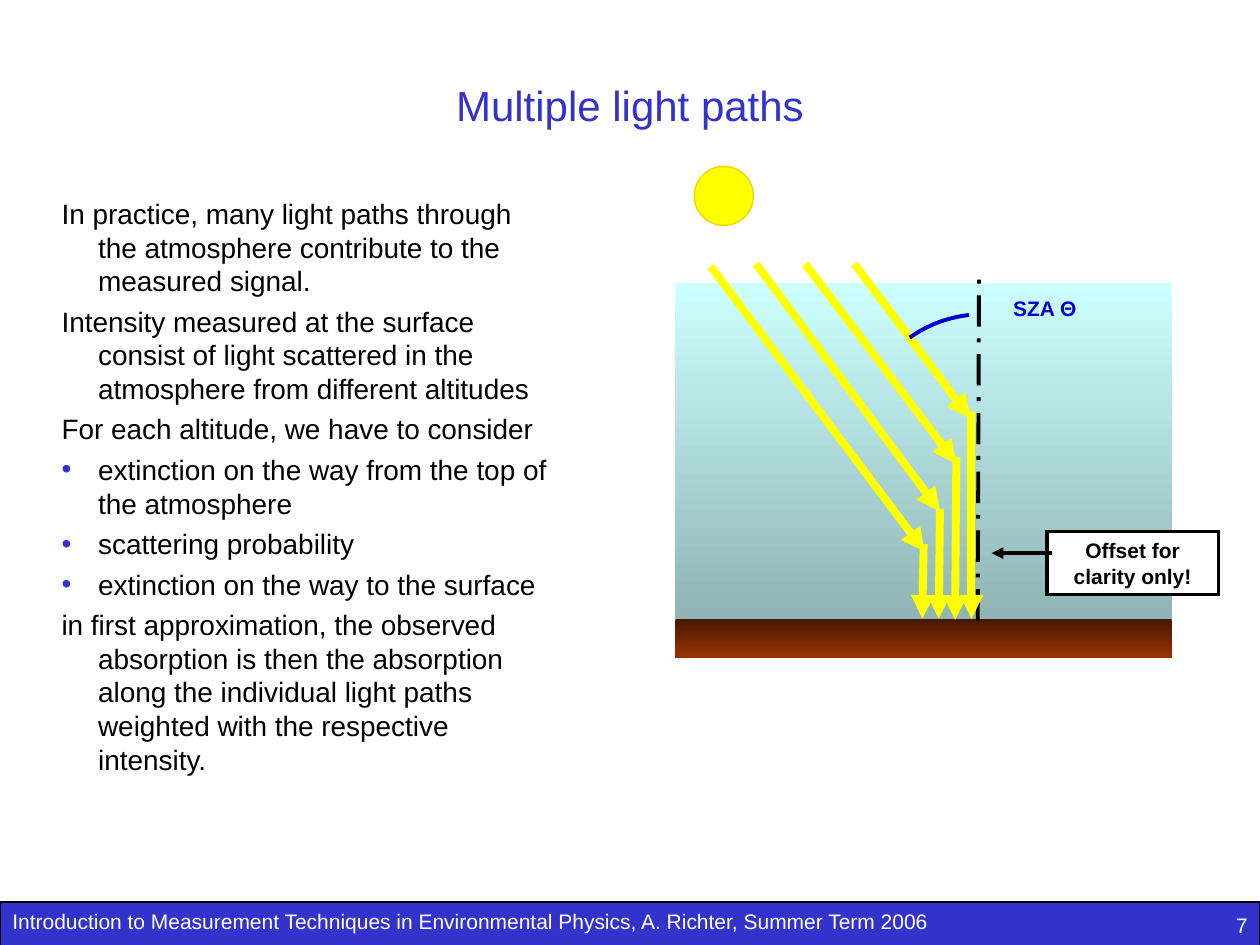
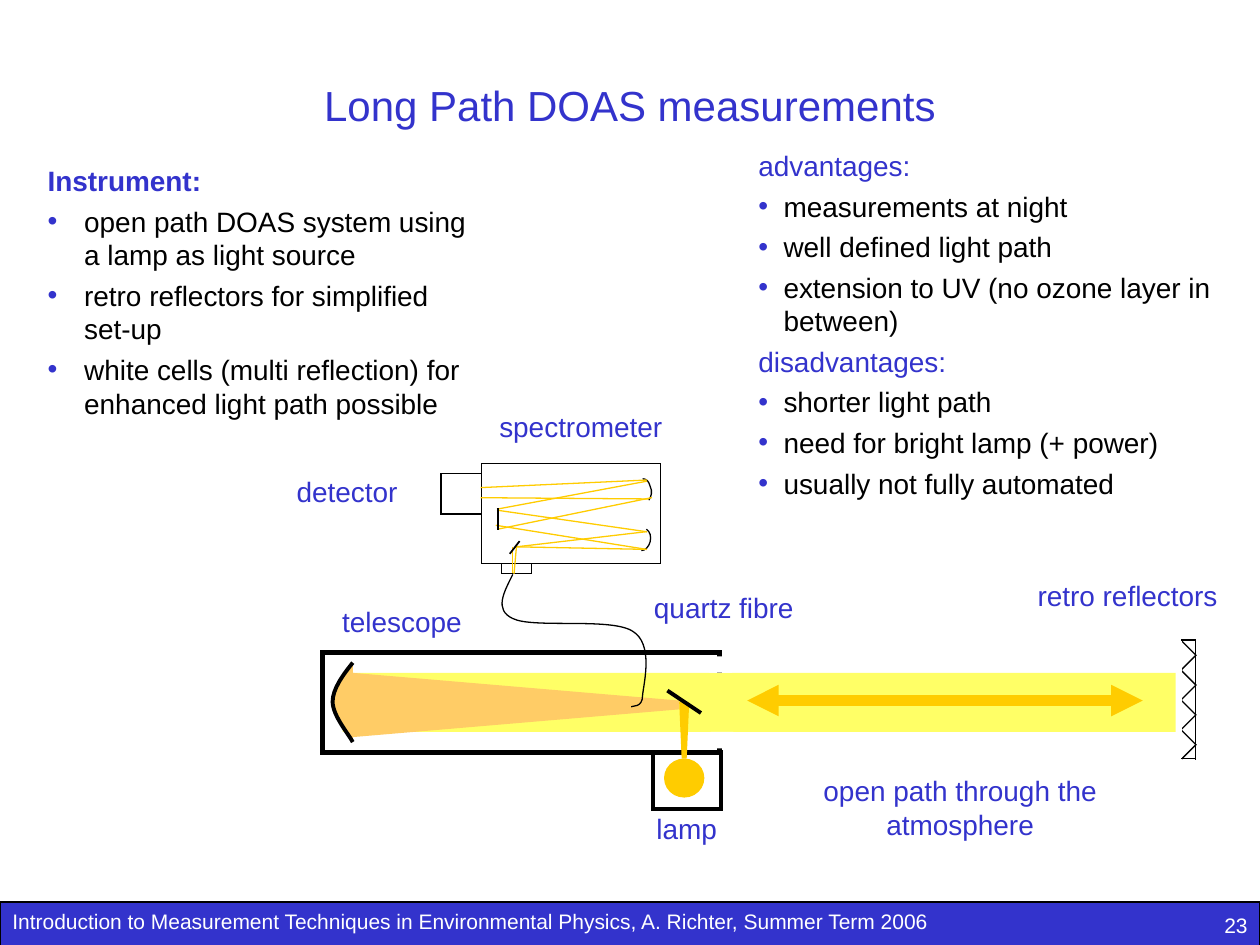
"""Build two lecture slides on light paths and long path DOAS instruments."""

from dataclasses import dataclass, field
from typing import Optional

import pptx
import pptx.dml.color
import pptx.enum.dml
import pptx.enum.shapes
import pptx.enum.text
import pptx.oxml.ns
import pptx.util
from lxml import etree

Inches = pptx.util.Inches
RGBColor = pptx.dml.color.RGBColor
Kind = pptx.enum.shapes.MSO_SHAPE
Align = pptx.enum.text.PP_ALIGN
qn = pptx.oxml.ns.qn

FONT = "Arial"
BLACK = RGBColor(0x00, 0x00, 0x00)
WHITE = RGBColor(0xFF, 0xFF, 0xFF)
INDIGO = RGBColor(0x33, 0x33, 0xCC)
ANGLE_BLUE = RGBColor(0x00, 0x00, 0xCC)
YELLOW = RGBColor(0xFF, 0xFF, 0x00)
GOLD = RGBColor(0xFF, 0xCC, 0x00)
BEAM_YELLOW = RGBColor(0xFF, 0xFF, 0x66)
CONE_ORANGE = RGBColor(0xFF, 0xCC, 0x66)
SKY = (RGBColor(0xCC, 0xFF, 0xFF), RGBColor(0x90, 0xB4, 0xB4))
SOIL = (RGBColor(0x46, 0x17, 0x00), RGBColor(0x99, 0x33, 0x00))
COURSE = "Introduction to Measurement Techniques in Environmental Physics, A. Richter, Summer Term 2006"

Point = tuple[float, float]


@dataclass
class Item:
    """One paragraph of text."""
    text: str
    bullet: bool = False
    color: RGBColor = BLACK
    bold: bool = False


@dataclass
class Block:
    """A preset shape; two fill colours make a vertical gradient."""
    left: float
    top: float
    width: float
    height: float
    fill: Optional[RGBColor | tuple[RGBColor, RGBColor]] = None
    line: Optional[RGBColor] = None
    weight: float = 0.75
    kind: Kind = Kind.RECTANGLE
    rotation: float = 0
    items: list[Item] = field(default_factory=list)
    align: Align = Align.CENTER


@dataclass
class Stroke:
    """A straight line with optional arrowheads or dashes."""
    start: Point
    end: Point
    color: RGBColor = BLACK
    weight: float = 0.75
    arrows: tuple[str, ...] = ()
    dashed: bool = False


@dataclass
class Outline:
    """A closed polygon, or an open chain of cubic curves."""
    points: list[Point]
    fill: Optional[RGBColor] = None
    line: Optional[RGBColor] = None
    weight: float = 0.75
    curved: bool = True


@dataclass
class Caption:
    """A text box holding a list of paragraphs."""
    left: float
    top: float
    width: float
    height: float
    items: list[Item]
    size: float = 16
    align: Align = Align.CENTER
    hang: float = 0


def paint(shape, fill, line: Optional[RGBColor], weight: float) -> None:
    """Set the fill and line of a shape and drop its shadow."""
    shape.shadow.inherit = False
    if fill is None:
        shape.fill.background()
    elif isinstance(fill, RGBColor):
        shape.fill.solid()
        shape.fill.fore_color.rgb = fill
    else:
        shape.fill.gradient()
        shape.fill.gradient_angle = 270
        for stop, position, color in zip(shape.fill.gradient_stops, (0, 1), fill):
            stop.position = position
            stop.color.rgb = color
    if line is None:
        shape.line.fill.background()
    else:
        shape.line.color.rgb = line
        shape.line.width = pptx.util.Pt(weight)
        etree.SubElement(shape.element.spPr.find(qn("a:ln")), qn("a:miter"), lim="800000")


def write(text_frame, items: list[Item], size: float, align: Align, hang: float = 0) -> None:
    """Fill a text frame with plain or bulleted paragraphs."""
    text_frame.word_wrap = True
    text_frame.vertical_anchor = pptx.enum.text.MSO_ANCHOR.TOP
    text_frame.text = "\n".join(item.text for item in items)
    for index, (para, item) in enumerate(zip(text_frame.paragraphs, items)):
        properties = para._p.get_or_add_pPr()
        if hang:
            properties.set("marL", str(Inches(hang)))
            properties.set("indent", str(-Inches(hang)))
        if item.bullet:
            color = etree.SubElement(properties, qn("a:buClr"))
            etree.SubElement(color, qn("a:srgbClr"), val=str(INDIGO))
            etree.SubElement(properties, qn("a:buFont"), typeface=FONT)
            etree.SubElement(properties, qn("a:buChar"), char="•")
        para.alignment = align
        if index:
            para.space_before = pptx.util.Pt(4)
        for span in para.runs:
            span.font.name = FONT
            span.font.size = pptx.util.Pt(size)
            span.font.bold = item.bold
            span.font.color.rgb = item.color


def draw_block(page, block: Block) -> None:
    """Draw a preset shape."""
    frame = map(Inches, (block.left, block.top, block.width, block.height))
    shape = page.shapes.add_shape(block.kind, *frame)
    shape.rotation = block.rotation
    paint(shape, block.fill, block.line, block.weight)
    if block.items:
        write(shape.text_frame, block.items, 12, block.align)


def draw_stroke(page, stroke: Stroke) -> None:
    """Draw a straight connector with square ends."""
    ends = map(Inches, (*stroke.start, *stroke.end))
    connector = page.shapes.add_connector(pptx.enum.shapes.MSO_CONNECTOR.STRAIGHT, *ends)
    connector.line.color.rgb = stroke.color
    connector.line.width = pptx.util.Pt(stroke.weight)
    if stroke.dashed:
        connector.line.dash_style = pptx.enum.dml.MSO_LINE.LONG_DASH_DOT
    properties = connector.element.spPr
    line = properties.find(qn("a:ln"))
    line.set("cap", "sq")
    for arrow in stroke.arrows:
        etree.SubElement(line, qn(f"a:{arrow}"), type="triangle")
    etree.SubElement(properties, qn("a:effectLst"))


def draw_outline(page, outline: Outline) -> None:
    """Draw a freeform, grouping its points by three when it is curved."""
    points = [(Inches(x), Inches(y)) for x, y in outline.points]
    builder = page.shapes.build_freeform(*points[0], scale=1.0)
    builder.add_line_segments(points[1:], close=not outline.curved)
    shape = builder.convert_to_shape()
    paint(shape, outline.fill, outline.line, outline.weight)
    if outline.curved:
        segments = list(shape.element.iter(qn("a:lnTo")))
        for first in range(0, len(segments), 3):
            curve = etree.SubElement(segments[first].getparent(), qn("a:cubicBezTo"))
            for segment in segments[first:first + 3]:
                curve.append(segment[0])
                segment.getparent().remove(segment)


def draw_caption(page, caption: Caption) -> None:
    """Draw a text box."""
    frame = map(Inches, (caption.left, caption.top, caption.width, caption.height))
    box = page.shapes.add_textbox(*frame)
    write(box.text_frame, caption.items, caption.size, caption.align, caption.hang)


DRAWERS = {Block: draw_block, Stroke: draw_stroke, Outline: draw_outline, Caption: draw_caption}


def add_page(deck, title: str, number: int, elements: list) -> None:
    """Add a slide with footer band, title and elements from back to front."""
    page = deck.slides.add_slide(deck.slide_layouts[6])
    band = Block(0, 7.16, 10, 0.4, INDIGO, BLACK, items=[Item(COURSE, color=WHITE)], align=Align.LEFT)
    heading = Caption(0, 0.58, 10, 0.5, [Item(title, color=INDIGO)], 24)
    page_number = Caption(7.92, 7.19, 2.08, 0.31, [Item(str(number), color=WHITE)], 12, Align.RIGHT)
    for element in [band, heading, *elements, page_number]:
        DRAWERS[type(element)](page, element)


def label(left: float, top: float, width: float, text: str, height: float = 0.37) -> Caption:
    """Name a part of the instrument."""
    return Caption(left, top, width, height, [Item(text, color=INDIGO)])


def bullets(*texts: str) -> list[Item]:
    """Turn texts into bulleted paragraphs."""
    return [Item(text, bullet=True) for text in texts]


def sun_ray(start: Point, end: Point) -> Stroke:
    """Make one leg of a light path through the atmosphere."""
    return Stroke(start, end, YELLOW, 4.5, ("tailEnd",))


def light_path_elements() -> list:
    """List the parts of the light path slide."""
    slanted = [((6.02, 2.12), (7.46, 4.06)), ((6.41, 2.12), (7.59, 3.68)), ((6.8, 2.12), (7.7, 3.32))]
    vertical = [((7.71, 3.29), (7.71, 4.91)), ((7.59, 3.66), (7.58, 4.92)),
                ((7.46, 4.07), (7.45, 4.91)), ((7.33, 4.35), (7.32, 4.91))]
    explanation = [
        Item("In practice, many light paths through the atmosphere contribute to the measured signal."),
        Item("Intensity measured at the surface consist of light scattered in the atmosphere from different altitudes"),
        Item("For each altitude, we have to consider"),
        *bullets("extinction on the way from the top of the atmosphere", "scattering probability",
                 "extinction on the way to the surface"),
        Item("in first approximation, the observed absorption is then the absorption along the "
             "individual light paths weighted with the respective intensity."),
    ]
    return [
        Block(5.36, 2.25, 3.94, 2.66, SKY),
        Block(5.36, 4.91, 3.94, 0.31, SOIL),
        sun_ray((5.66, 2.14), (7.34, 4.38)),
        Stroke((7.76, 4.91), (7.77, 2.23), BLACK, 2.25, dashed=True),
        Caption(7.92, 2.3, 0.79, 0.3, [Item("SZA Θ ", color=ANGLE_BLUE, bold=True)], 12),
        Block(5.51, 1.32, 0.47, 0.47, YELLOW, GOLD, kind=Kind.OVAL),
        *(sun_ray(*ends) for ends in slanted),
        Outline([(7.22, 2.68), (7.36, 2.58), (7.52, 2.52), (7.69, 2.5)], line=ANGLE_BLUE, weight=2.25),
        Block(8.31, 4.22, 1.36, 0.5, WHITE, BLACK, 2, items=[Item("Offset for clarity only!", bold=True)]),
        Stroke((8.33, 4.39), (7.87, 4.39), BLACK, 2.25, ("tailEnd",)),
        *(sun_ray(*ends) for ends in vertical),
        Caption(0.39, 1.51, 4.05, 5.02, explanation, align=Align.LEFT, hang=0.29),
    ]


def long_path_elements() -> list:
    """List the parts of the long path instrument slide."""
    telescope_mirror = [(2.8, 5.26), (2.72, 5.36), (2.64, 5.47), (2.64, 5.57),
                        (2.64, 5.68), (2.77, 5.83), (2.8, 5.89)]
    upper_mirror = [(5.1, 3.8), (5.13, 3.8), (5.15, 3.82), (5.16, 3.86), (5.18, 3.9), (5.17, 3.94), (5.15, 3.97)]
    lower_mirror = [(5.13, 4.2), (5.16, 4.22), (5.17, 4.26), (5.16, 4.3), (5.15, 4.34), (5.12, 4.37), (5.09, 4.37)]
    fibre = [(4.07, 4.56), (4, 4.7), (3.92, 4.84), (4.07, 4.91), (4.23, 4.99), (4.85, 4.9), (5.02, 5.01),
             (5.19, 5.11), (5.11, 5.42), (5.1, 5.52), (5.1, 5.62), (5.02, 5.6), (5.01, 5.61)]
    spectrometer_rays = [((4.1, 4.34), (5.13, 4.22)), ((4.09, 4.34), (5.12, 4.36)),
                         ((3.94, 4.17), (5.13, 4.36)), ((3.95, 4.05), (5.13, 4.22)),
                         ((3.95, 4.2), (5.17, 3.95)), ((3.95, 4.04), (5.13, 3.82)),
                         ((3.82, 3.87), (5.13, 3.81)), ((3.82, 3.95), (5.14, 3.96))]
    entrance_rays = [((4.07, 4.35), (4.07, 4.54)), ((4.1, 4.33), (4.08, 4.55))]
    instrument = [
        Item("Instrument:", color=INDIGO, bold=True),
        *bullets("open path DOAS system using a lamp as light source", "retro reflectors for simplified set-up",
                 "white cells (multi reflection) for enhanced light path possible"),
    ]
    comparison = [
        Item("advantages:", color=INDIGO),
        *bullets("measurements at night", "well defined light path", "extension to UV (no ozone layer in between)"),
        Item("disadvantages:", color=INDIGO),
        *bullets("shorter light path", "need for bright lamp (+ power)", "usually not fully automated"),
    ]
    return [
        Block(2.56, 5.18, 3.15, 0.79, line=BLACK, weight=3),
        Block(2.72, 5.34, 6.61, 0.47, BEAM_YELLOW),
        Outline(telescope_mirror, CONE_ORANGE, BLACK, 2.25),
        Outline([(2.8, 5.85), (2.8, 5.34), (5.39, 5.56), (5.39, 5.63)], CONE_ORANGE, curved=False),
        *(Block(9.25, 5.1 + 0.71 * row / 3, 0.2, 0.2, line=BLACK, kind=Kind.RIGHT_TRIANGLE, rotation=225)
          for row in range(4)),
        Stroke((9.36, 4.94), (9.36, 6.36), WHITE, 3),
        Stroke((9.49, 5.08), (9.49, 6.03)),
        *(Stroke((9.38, y), (9.49, y)) for y in (6.02, 5.08)),
        Block(3.82, 3.68, 1.42, 0.79, line=BLACK),
        Block(3.5, 3.76, 0.32, 0.32, line=BLACK),
        Block(3.98, 4.47, 0.24, 0.08, line=BLACK),
        *(Outline(points, line=BLACK) for points in (upper_mirror, lower_mirror)),
        *(Stroke(*ends, GOLD) for ends in spectrometer_rays),
        Outline(fibre, line=BLACK),
        label(6.19, 6.09, 2.86, "open path through the atmosphere", 0.64),
        label(4.02, 6.39, 2.86, "lamp"),
        label(2.49, 4.75, 1.4, "telescope"),
        label(8.11, 4.54, 1.68, "retro reflectors"),
        label(3.81, 3.2, 1.6, "spectrometer"),
        label(2.2, 3.72, 1.11, "detector"),
        label(5.08, 4.64, 1.33, "quartz fibre"),
        Stroke((5.93, 5.56), (9.07, 5.56), GOLD, 6, ("headEnd", "tailEnd")),
        Block(5.18, 5.97, 0.54, 0.45, line=BLACK, weight=2.25),
        Block(5.27, 6.02, 0.32, 0.31, GOLD, kind=Kind.OVAL),
        Outline([(5.39, 5.57), (5.47, 5.57), (5.45, 6.02), (5.41, 6.02)], GOLD, curved=False),
        Caption(0.28, 1.25, 3.6, 2.14, instrument, align=Align.LEFT, hang=0.29),
        Caption(5.92, 1.13, 4.08, 3.16, comparison, align=Align.LEFT, hang=0.2),
        *(Stroke(*ends, GOLD) for ends in entrance_rays),
        Stroke((4.12, 4.3), (4.05, 4.39), weight=1),
        Stroke((3.95, 4.04), (3.95, 4.2), weight=1),
        Stroke((5.31, 5.49), (5.55, 5.65), weight=2.25),
        *(Block(left, top, 0.18, 0.13, WHITE) for left, top in ((5.64, 5.81), (5.63, 5.21))),
    ]


deck = pptx.Presentation()
deck.slide_width, deck.slide_height = Inches(10), Inches(7.5)
add_page(deck, "Multiple light paths", 7, light_path_elements())
add_page(deck, "Long Path DOAS measurements", 23, long_path_elements())
deck.save("out.pptx")
